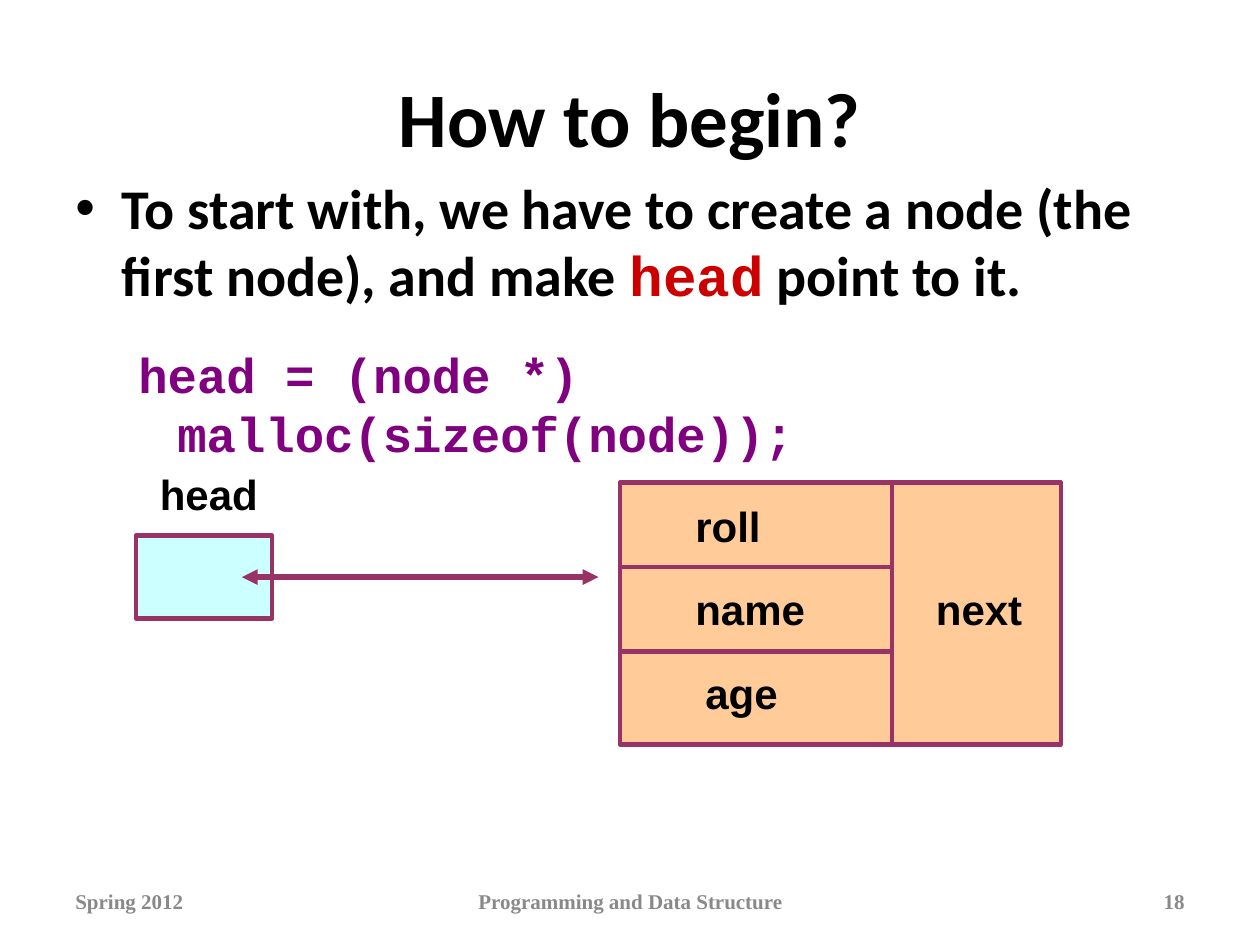
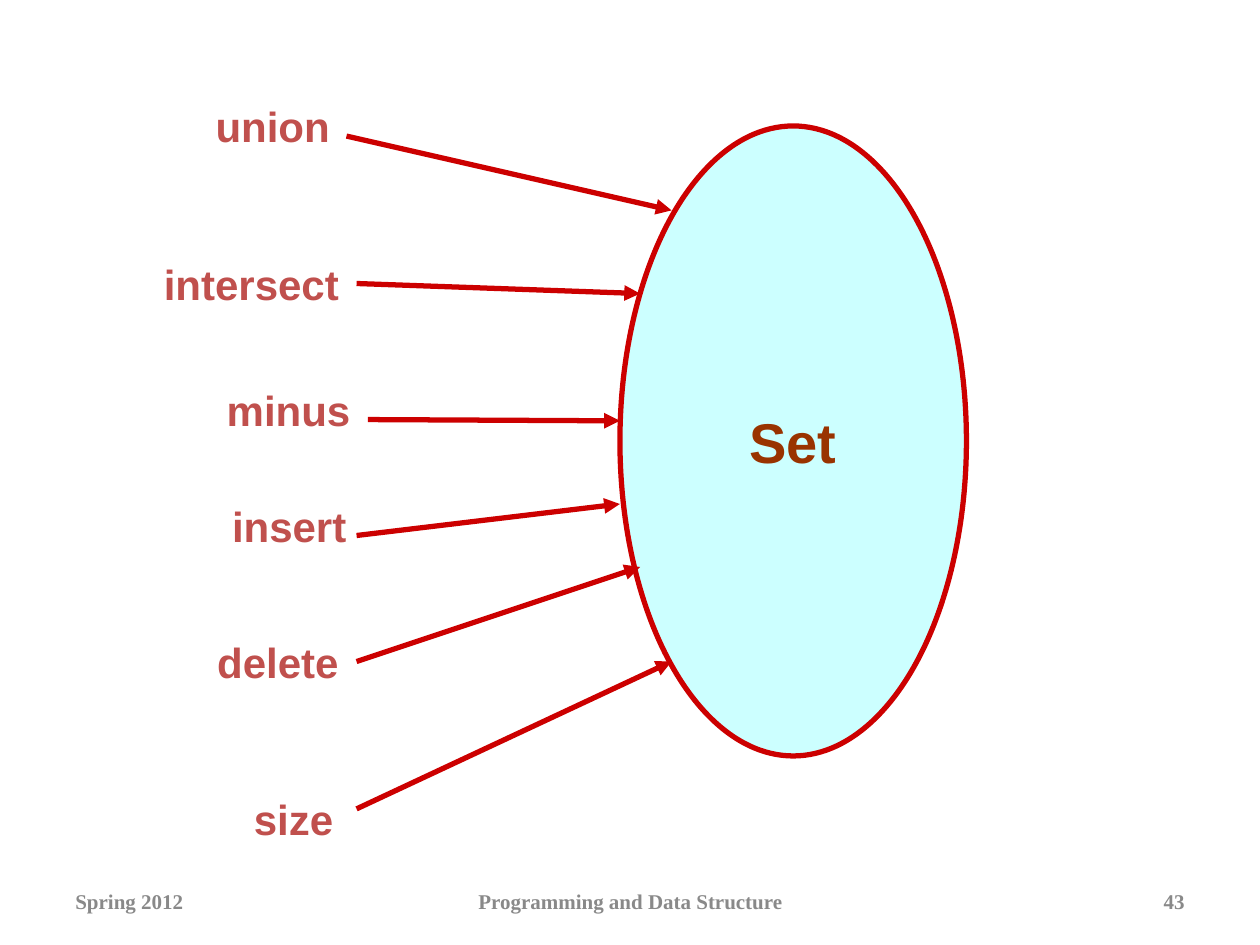
from dataclasses import dataclass

from lxml import etree
from pptx import Presentation
from pptx import util as u
from pptx.dml import color
from pptx.enum import shapes, text
from pptx.oxml import ns

COLORS = {
    "black": "000000",
    "footer": "898989",
    "keyword": "CC0000",
    "code": "800080",
    "node_fill": "FFCC99",
    "node_line": "993366",
    "aqua": "CCFFFF",
    "set_line": "CC0000",
    "set_text": "993300",
    "operation": "C0504D",
}
LEFT, CENTER, RIGHT = text.PP_ALIGN.LEFT, text.PP_ALIGN.CENTER, text.PP_ALIGN.RIGHT
MIDDLE, TOP = text.MSO_ANCHOR.MIDDLE, text.MSO_ANCHOR.TOP
LABEL_HEIGHT = 0.5


@dataclass(frozen=True)
class Style:
    name: str
    size: float
    color: str
    bold: bool = True


TITLE = Style("Calibri", 44, "black")
BODY = Style("Calibri", 32, "black")
KEYWORD = Style("Courier New", 32, "keyword")
CODE = Style("Courier New", 28, "code")
FOOTER = Style("Times New Roman", 12, "footer")
FIELD = Style("Arial", 24, "black")
OPERATION = Style("Arial", 24, "operation")
SET = Style("Arial", 32, "set_text")


@dataclass(frozen=True)
class Label:
    words: str
    left: float
    top: float
    width: float


@dataclass(frozen=True)
class Operation:
    label: Label
    start: tuple[float, float]
    end: tuple[float, float]


FIELDS = [
    Label("head", 1.17, 3.67, 1.16),
    Label("roll", 5.42, 3.92, 1.66),
    Label("name", 5.42, 4.58, 1.66),
    Label("age", 5.5, 5.25, 1.66),
    Label("next", 7.33, 4.58, 1.67),
]
OPERATIONS = [
    Operation(Label("union", 1.5, 0.75, 1.33), (2.75, 1.08), (5.33, 1.67)),
    Operation(Label("intersect", 1.08, 2, 1.83), (2.83, 2.25), (5.08, 2.33)),
    Operation(Label("minus", 1.58, 3, 1.42), (2.92, 3.33), (4.92, 3.34)),
    Operation(Label("insert", 1.67, 3.92, 1.25), (2.83, 4.25), (4.92, 4)),
    Operation(Label("delete", 1.58, 5, 1.25), (2.83, 5.25), (5.08, 4.5)),
    Operation(Label("size", 1.83, 6.25, 1), (2.83, 6.42), (5.33, 5.25)),
]


def rgb(key: str) -> color.RGBColor:
    return color.RGBColor.from_string(COLORS[key])


def set_all(target, **values) -> None:
    for name, value in values.items():
        setattr(target, name, value)


def add_span(para, words: str, style: Style) -> None:
    span = para.add_run()
    span.text = words
    set_all(span.font, name=style.name, size=u.Pt(style.size), bold=style.bold)
    span.font.color.rgb = rgb(style.color)


def add_box(page, left: float, top: float, width: float, height: float, anchor=TOP):
    box = page.shapes.add_textbox(*map(u.Inches, (left, top, width, height)))
    set_all(box.text_frame, word_wrap=True, vertical_anchor=anchor)
    return box


def add_label(page, label: Label, style: Style, align=LEFT) -> None:
    box = add_box(page, label.left, label.top, label.width, LABEL_HEIGHT)
    box.text_frame.auto_size = text.MSO_AUTO_SIZE.SHAPE_TO_FIT_TEXT
    para = box.text_frame.paragraphs[0]
    set_all(para, alignment=align, space_before=u.Pt(15))
    add_span(para, label.words, style)


def add_footers(page, number: int) -> None:
    for words, left, width, align in (
        ("Spring 2012", 0.5, 2.33, LEFT),
        ("Programming and Data Structure", 3.42, 3.17, CENTER),
        (str(number), 7.17, 2.33, RIGHT),
    ):
        para = add_box(page, left, 6.95, width, 0.4, MIDDLE).text_frame.paragraphs[0]
        para.alignment = align
        add_span(para, words, FOOTER)


def add_outline(page, kind, place: tuple, fill: str, line: str, weight: float):
    shape = page.shapes.add_shape(kind, *map(u.Inches, place))
    shape.shadow.inherit = False
    shape.fill.solid()
    shape.fill.fore_color.rgb = rgb(fill)
    shape.line.color.rgb = rgb(line)
    shape.line.width = u.Pt(weight)
    return shape


def add_line(page, start: tuple, end: tuple, line: str, weight: float, ends: tuple = ()) -> None:
    connector = page.shapes.add_connector(
        shapes.MSO_CONNECTOR.STRAIGHT, *map(u.Inches, (*start, *end))
    )
    connector.line.color.rgb = rgb(line)
    connector.line.width = u.Pt(weight)
    outline = connector.line._get_or_add_ln()
    for tag in ends:
        etree.SubElement(outline, ns.qn(tag), type="triangle")
    etree.SubElement(connector._element.spPr, ns.qn("a:effectLst"))


def indent(para, margin: float, first: float, bullet: str = "") -> None:
    properties = para._p.get_or_add_pPr()
    properties.set("marL", str(u.Inches(margin)))
    properties.set("indent", str(u.Inches(first)))
    if bullet:
        font = etree.SubElement(properties, ns.qn("a:buFont"))
        font.set("typeface", "Arial")
        etree.SubElement(properties, ns.qn("a:buChar"), char=bullet)


def add_title(page, words: str) -> None:
    title = page.shapes.title
    set_all(title, left=u.Inches(0.5), top=u.Inches(0.3), width=u.Inches(9), height=u.Inches(1.25))
    title.text_frame.vertical_anchor = MIDDLE
    para = title.text_frame.paragraphs[0]
    para.alignment = CENTER
    add_span(para, words, TITLE)


def add_body(page) -> None:
    frame = add_box(page, 0.5, 1.33, 9, 5.17).text_frame
    point = frame.paragraphs[0]
    point.space_before = u.Pt(8)
    indent(point, 0.37, -0.37, "•")
    add_span(point, "To start with, we have to create a node (the first node), and make ", BODY)
    add_span(point, "head", KEYWORD)
    add_span(point, " point to it.", BODY)
    code = frame.add_paragraph()
    code.space_before = u.Pt(21)
    indent(code, 0.81, -0.31)
    add_span(code, "head = (node *) malloc(sizeof(node));", CODE)


def build_begin(deck) -> None:
    page = deck.slides.add_slide(deck.slide_layouts[5])
    add_title(page, "How to begin?")
    add_body(page)
    add_footers(page, 18)
    left, top, split, bottom = 4.92, 3.83, 7.08, 5.91
    rectangle = shapes.MSO_SHAPE.RECTANGLE
    node = (left, top, 3.5, bottom - top)
    add_outline(page, rectangle, node, "node_fill", "node_line", 2.5)
    add_line(page, (split, top), (split, bottom), "node_line", 2.5)
    for row in (4.5, 5.17):
        add_line(page, (left, row), (split, row), "node_line", 2.5)
    add_outline(page, rectangle, (1.08, 4.25, 1.08, 0.66), "aqua", "node_line", 2.5)
    add_line(page, (1.92, 4.58), (4.75, 4.58), "node_line", 3, ("a:headEnd", "a:tailEnd"))
    for field in FIELDS:
        add_label(page, field, FIELD)


def build_set(deck) -> None:
    page = deck.slides.add_slide(deck.slide_layouts[6])
    add_footers(page, 43)
    oval = add_outline(page, shapes.MSO_SHAPE.OVAL, (4.92, 1, 2.75, 5), "aqua", "set_line", 3)
    set_all(oval.text_frame, word_wrap=False, vertical_anchor=MIDDLE)
    para = oval.text_frame.paragraphs[0]
    para.alignment = CENTER
    add_span(para, "Set", SET)
    for operation in OPERATIONS:
        add_line(page, operation.start, operation.end, "set_line", 3, ("a:tailEnd",))
        add_label(page, operation.label, OPERATION, CENTER)


def main() -> None:
    deck = Presentation()
    set_all(deck, slide_width=u.Inches(10), slide_height=u.Inches(7.5))
    build_begin(deck)
    build_set(deck)
    deck.save("out.pptx")


if __name__ == "__main__":
    main()
